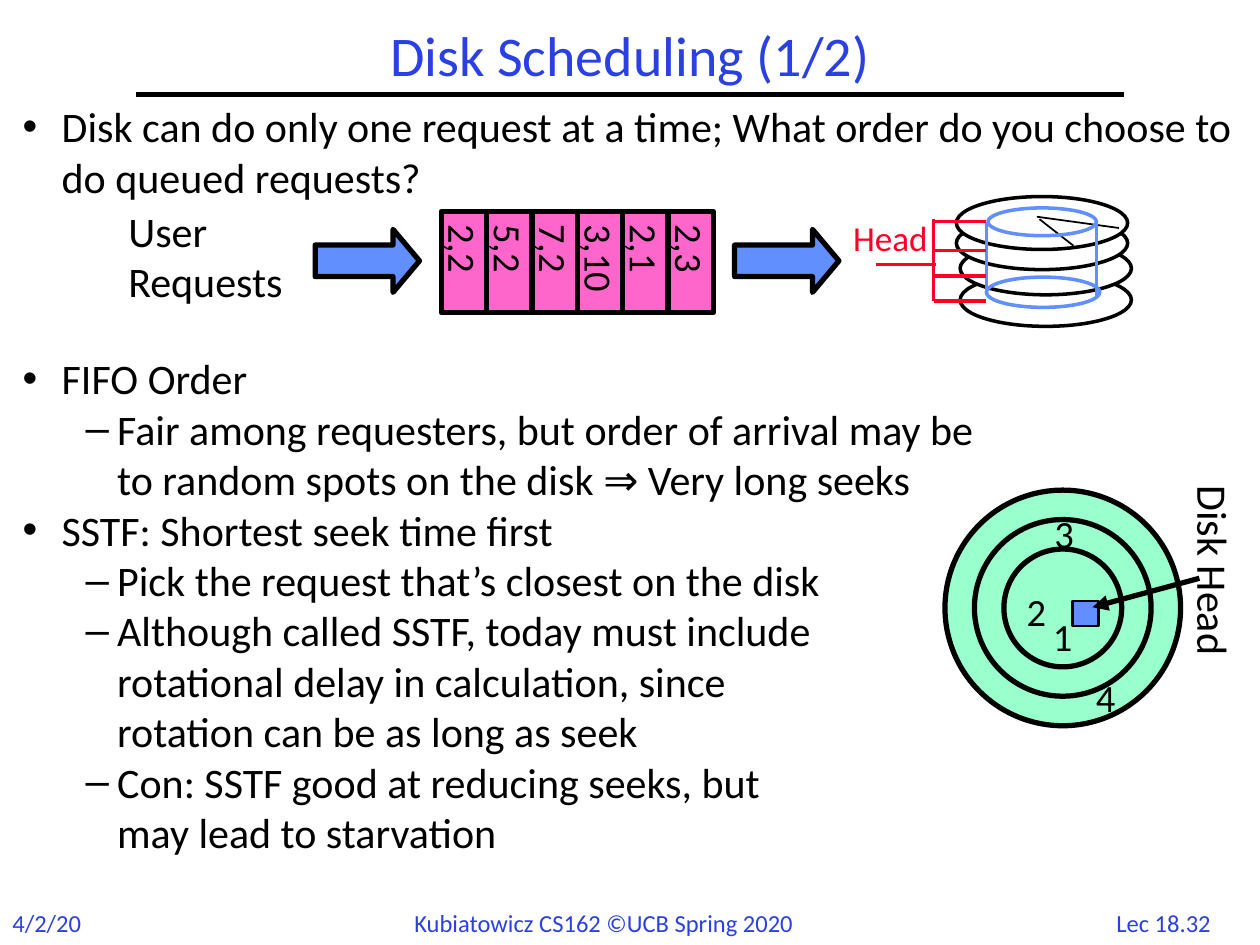
from dataclasses import dataclass

from lxml.etree import SubElement
from pptx import Presentation
from pptx.dml.color import RGBColor
from pptx.enum.shapes import MSO_CONNECTOR as Link, MSO_SHAPE as Form
from pptx.enum.text import MSO_ANCHOR as Anchor, MSO_AUTO_SIZE as Fit, PP_ALIGN as Align
from pptx.oxml.ns import qn
from pptx.util import Inches, Pt

FONT = "Calibri"
BLACK, WHITE, TITLE_BLUE = "000000", "FFFFFF", "2A40E2"
BLUE, PINK, RED, MINT = "618FFD", "FF66CC", "FC0128", "99FFCC"


@dataclass
class Box:
    left: float
    top: float
    width: float
    height: float

    def point(self, x, y):
        return self.left + self.width * x / 100, self.top + self.height * y / 100

    def inner(self, x, y, width, height):
        return Box(*self.point(x, y), self.width * width / 100, self.height * height / 100)

    def emu(self):
        return [Inches(n) for n in (self.left, self.top, self.width, self.height)]


def colour(code):
    return RGBColor.from_string(code)


def add_run(paragraph, words, size, code):
    run = paragraph.add_run()
    run.text = words
    run.font.name, run.font.size = FONT, Pt(size)
    run.font.color.rgb = colour(code)


def add_label(slide, box, lines, size, code=BLACK, align=Align.LEFT, spacing=None):
    label = slide.shapes.add_textbox(*box.emu())
    frame = label.text_frame
    frame.word_wrap = False
    for i, words in enumerate(lines):
        paragraph = frame.add_paragraph() if i else frame.paragraphs[0]
        paragraph.alignment = align
        if spacing:
            paragraph.line_spacing = spacing
        add_run(paragraph, words, size, code)
    return label


def add_form(slide, form, box, fill, line=BLACK, weight=3):
    shape = slide.shapes.add_shape(form, *box.emu())
    shape.shadow.inherit = False
    if fill:
        shape.fill.solid()
        shape.fill.fore_color.rgb = colour(fill)
    else:
        shape.fill.background()
    shape.line.color.rgb = colour(line)
    shape.line.width = Pt(weight)
    return shape


def add_line(slide, box, start, end, code=BLACK, weight=2.0):
    ends = [Inches(n) for n in box.point(*start) + box.point(*end)]
    line = slide.shapes.add_connector(Link.STRAIGHT, *ends)
    line.line.color.rgb = colour(code)
    line.line.width = Pt(weight)
    SubElement(line._element.spPr, qn("a:effectLst"))
    return line


def place(holder, box, anchor):
    holder.left, holder.top, holder.width, holder.height = box.emu()
    frame = holder.text_frame
    frame.word_wrap, frame.auto_size = True, Fit.NONE
    frame.vertical_anchor = anchor
    return frame


def fill_title(slide, box):
    paragraph = place(slide.shapes.title, box, Anchor.MIDDLE).paragraphs[0]
    paragraph.alignment, paragraph.line_spacing = Align.CENTER, 0.9
    add_run(paragraph, "Disk Scheduling (1/2)", 32, TITLE_BLUE)
    add_line(slide, box, (0, 100), (100, 100), weight=3)


def fill_body(slide, box):
    points = [
        (0, 0, ["Disk can do only one request at a time; What order do you choose to do queued requests?"]),
        (0, 86.4, ["FIFO Order"]),
        (1, 0, ["Fair among requesters, but order of arrival may be ",
                "to random spots on the disk ⇒ Very long seeks"]),
        (0, 0, ["SSTF: Shortest seek time first"]),
        (1, 0, ["Pick the request that’s closest on the disk"]),
        (1, 0, ["Although called SSTF, today must include ",
                "rotational delay in calculation, since ",
                "rotation can be as long as seek"]),
        (1, 0, ["Con: SSTF good at reducing seeks, but ", "may lead to starvation"]),
    ]
    bullets = [(0.31, 0.31, "•"), (0.75, 0.25, "–")]
    frame = place(slide.placeholders[1], box, Anchor.TOP)
    for i, (level, gap, lines) in enumerate(points):
        paragraph = frame.add_paragraph() if i else frame.paragraphs[0]
        paragraph.level, paragraph.space_before = level, Pt(gap)
        margin, hang, mark = bullets[level]
        properties = paragraph._p.get_or_add_pPr()
        properties.set("marL", str(Inches(margin)))
        properties.set("indent", str(-Inches(hang)))
        SubElement(properties, qn("a:buChar")).set("char", mark)
        for j, words in enumerate(lines):
            if j:
                paragraph.add_line_break()
            add_run(paragraph, words, 24, BLACK)


def draw_queue(slide, box):
    requests = ["2,2", "5,2", "7,2", "3,10", "2,1", "2,3"]
    cell = 6.26
    for i, request in reversed(list(enumerate(requests))):
        slot = add_form(slide, Form.RECTANGLE, box.inner(44.9 + i * cell, 11, cell, 88), PINK)
        frame = slot.text_frame
        frame.word_wrap, frame.vertical_anchor = False, Anchor.MIDDLE
        frame._txBody.bodyPr.set("vert", "eaVert")
        frame.paragraphs[0].alignment = Align.LEFT
        add_run(frame.paragraphs[0], request, 22, BLACK)
    for x in (27.5, 85.4):
        arrow = add_form(slide, Form.RIGHT_ARROW, box.inner(x, 26.4, 14.4, 55), BLUE)
        arrow.adjustments[0], arrow.adjustments[1] = 0.5, 0.42
    add_label(slide, box.inner(0, 0, 24.9, 100), ["User", "Requests"], 24)


def draw_platters(slide, box):
    for x, y in [(40, 58.7), (40, 34.6), (38.7, 15.4), (38.7, 0)]:
        add_form(slide, Form.OVAL, box.inner(x, y, 59.1, 40.4), WHITE, weight=2)
    add_line(slide, box, (67.4, 17.3), (79.1, 37.5), weight=1)
    add_line(slide, box, (66.5, 15.4), (94.8, 24), weight=1)
    for rim in [(49.1, 61.5, 39.1, 23.1), (49.6, 8.7, 37.4, 21.2)]:
        add_form(slide, Form.OVAL, box.inner(*rim), None, BLUE, 2)
    for x, bottom in [(49.1, 73.1), (87, 76.9)]:
        add_line(slide, box, (x, 19.2), (x, bottom), BLUE)
    head = add_label(slide, box.inner(0, 17.3, 32.2, 33.7), ["Head"], 20, RED, spacing=0.85)
    frame = head.text_frame
    frame.margin_left = frame.margin_right = Inches(0.07)
    frame.margin_top = frame.margin_bottom = Inches(0.03)
    add_line(slide, box, (30.9, 17.3), (30.9, 79.8), RED)
    for y in (19.2, 41.3, 60.6, 79.8):
        add_line(slide, box, (30.9, y), (49.1, y), RED)
    add_line(slide, box, (31.7, 51.9), (10.9, 51.9), RED)


def draw_tracks(slide, box):
    for inset in (0, 12.5, 25):
        side = 100 - 2 * inset
        add_form(slide, Form.OVAL, box.inner(inset, inset, side, side), MINT)
    add_form(slide, Form.RECTANGLE, box.inner(54, 47, 11.2, 10.7), BLUE, weight=1.5)
    for number, x, y in [("1", 40.6, 49.7), ("4", 58.8, 75.4), ("2", 29.4, 39), ("3", 41.2, 5.9)]:
        add_label(slide, box.inner(x, y, 18.7, 25.1), [number], 22)
    add_label(slide, box.inner(70.6, 23, 87.2, 26.7), ["Disk Head"], 24).rotation = 90
    pointer = add_line(slide, box, (108, 37.4), (62.6, 49.7), weight=3)
    SubElement(pointer.line._get_or_add_ln(), qn("a:tailEnd")).set("type", "triangle")


def add_footer(slide, box):
    for x, width, words, align in [
        (0, 7.5, "4/2/20", Align.LEFT),
        (31.9, 36.3, "Kubiatowicz CS162 ©UCB Spring 2020", Align.LEFT),
        (87.2, 10.3, "Lec 18.32", Align.CENTER),
    ]:
        add_label(slide, box.inner(x, 0, width, 100), [words], 14, TITLE_BLUE, align)


def main():
    deck = Presentation()
    deck.slide_width, deck.slide_height = Inches(10), Inches(7.5)
    slide = deck.slides.add_slide(deck.slide_layouts[1])
    fill_title(slide, Box(1.08, 0.17, 7.84, 0.58))
    fill_body(slide, Box(0.08, 0.75, 9.92, 6.58))
    add_footer(slide, Box(0, 7.16, 10, 0.34))
    draw_queue(slide, Box(0.92, 1.58, 5.75, 0.91))
    draw_platters(slide, Box(6.7, 1.56, 2.3, 1.04))
    draw_tracks(slide, Box(7.5, 3.89, 1.87, 1.87))
    deck.save("out.pptx")


if __name__ == "__main__":
    main()
